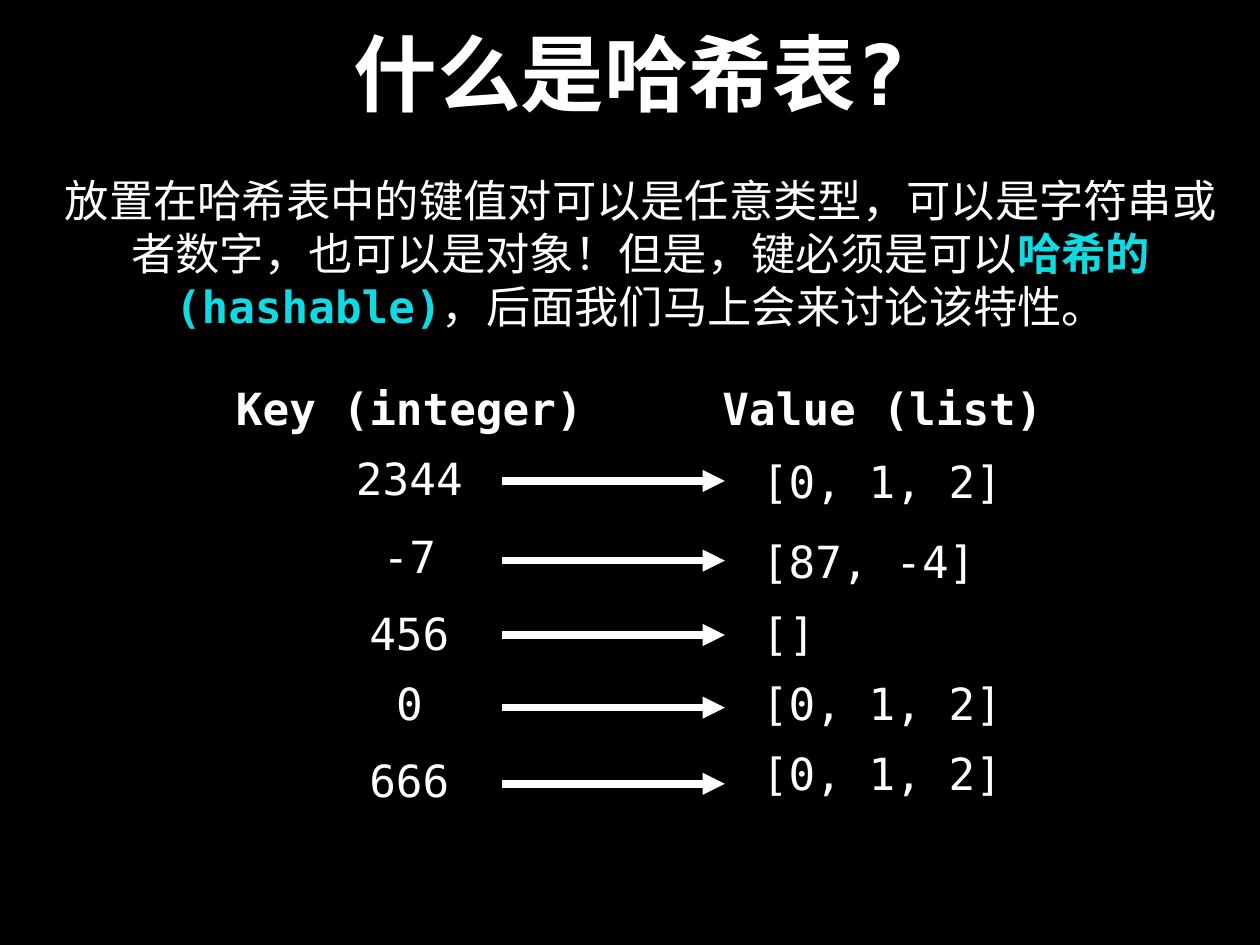
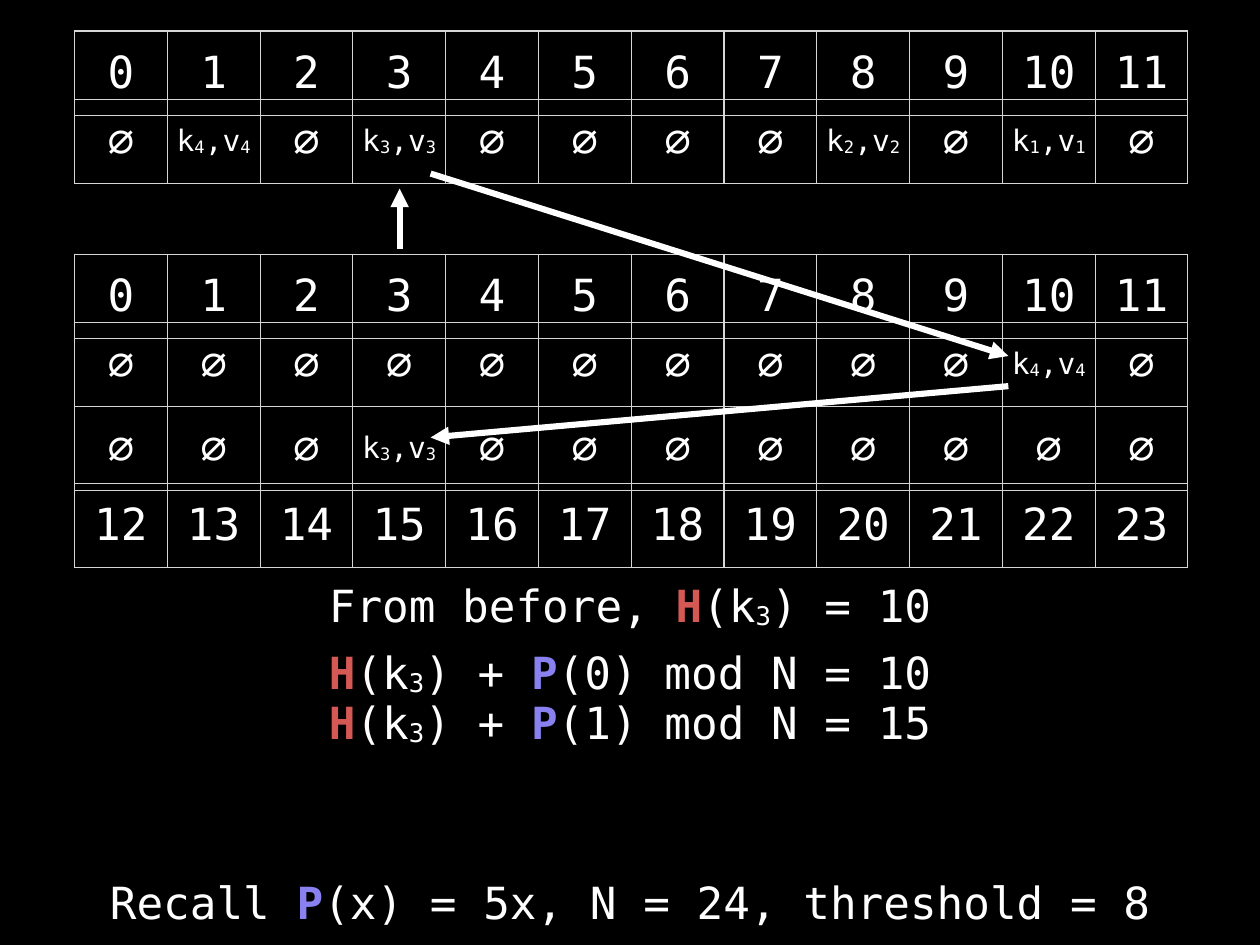
from lxml import etree
from pptx import Presentation
from pptx.dml.color import RGBColor
from pptx.enum.shapes import MSO_CONNECTOR
from pptx.enum.text import MSO_ANCHOR, PP_ALIGN
from pptx.oxml.ns import qn
from pptx.util import Inches, Pt

BLACK = RGBColor(0x00, 0x00, 0x00)
WHITE = RGBColor(0xFF, 0xFF, 0xFF)
CYAN = RGBColor(0x11, 0xDB, 0xE2)
RED = RGBColor(0xD4, 0x58, 0x54)
VIOLET = RGBColor(0x89, 0x81, 0xF0)
GRID = RGBColor(0xD6, 0xD6, 0xD6)
FONT = "DejaVu Sans Mono"
CENTER, LEFT = PP_ALIGN.CENTER, PP_ALIGN.LEFT
MIDDLE = MSO_ANCHOR.MIDDLE
STRAIGHT = MSO_CONNECTOR.STRAIGHT

WIDTH, HEIGHT = 14.22, 10.67
INSET = Inches(0.06)
LINE_HEIGHT = 0.68
BODY_SIZE, PAIR_SIZE, TITLE_SIZE = 36, 24, 68
SLOTS = 12
SLOT_WIDTH, SLOT_HEIGHT = 12.57 / SLOTS, 0.95
EMPTY = "∅"
SUB = "sub"
HASH, PROBE = ("H", RED), ("P", VIOLET)


def write(paragraph, parts, size=BODY_SIZE, bold=False, align=CENTER):
    """Parts are plain strings, (text, colour) for bold accents or (text, SUB)."""
    paragraph.alignment = align
    for part in [parts] if isinstance(parts, str) else parts:
        text, style = (part, None) if isinstance(part, str) else part
        run = paragraph.add_run()
        run.text = text
        accent = style not in (None, SUB)
        run.font.name = FONT
        run.font.size = Pt(size)
        run.font.bold = bold or accent
        run.font.color.rgb = style if accent else WHITE
        if style == SUB:
            run._r.get_or_add_rPr().set("baseline", "-6000")


def add_text(slide, box, parts, **style):
    frame = slide.shapes.add_textbox(*map(Inches, box)).text_frame
    frame.word_wrap = True
    frame.vertical_anchor = MIDDLE
    frame.margin_left = frame.margin_right = INSET
    frame.margin_top = frame.margin_bottom = INSET
    write(frame.paragraphs[0], parts, **style)


def add_arrow(slide, start, end, weight):
    arrow = slide.shapes.add_connector(STRAIGHT, *map(Inches, (*start, *end)))
    arrow.line.color.rgb = WHITE
    arrow.line.width = Pt(weight)
    etree.SubElement(arrow.line._get_or_add_ln(), qn("a:tailEnd"), type="triangle")
    etree.SubElement(arrow._element.spPr, qn("a:effectLst"))


def add_borders(cell):
    properties = cell._tc.get_or_add_tcPr()
    for side in ("lnL", "lnR", "lnT", "lnB"):
        border = etree.SubElement(properties, qn(f"a:{side}"), w=str(Pt(1)))
        fill = etree.SubElement(border, qn("a:solidFill"))
        etree.SubElement(fill, qn("a:srgbClr"), val=str(GRID))


def add_slot_row(slide, left, top, contents):
    """One row of slots; a (key, value) pair is set smaller than a single mark."""
    table = slide.shapes.add_table(
        1, SLOTS, Inches(left), Inches(top),
        Inches(SLOT_WIDTH * SLOTS), Inches(SLOT_HEIGHT)).table
    table.first_row = table.horz_banding = False
    for column, content in enumerate(contents):
        table.columns[column].width = Inches(SLOT_WIDTH)
        cell = table.cell(0, column)
        add_borders(cell)
        cell.fill.background()
        cell.vertical_anchor = MIDDLE
        cell.margin_left = cell.margin_right = INSET
        cell.margin_top = cell.margin_bottom = INSET
        size = BODY_SIZE if isinstance(content, str) else PAIR_SIZE
        write(cell.text_frame.paragraphs[0], content, size=size)


def indices(first):
    return [str(number) for number in range(first, first + SLOTS)]


def entries(pairs):
    """Slot contents from {slot: pair number}; the other slots are empty."""
    row = [EMPTY] * SLOTS
    for slot, number in pairs.items():
        row[slot] = ["k", (str(number), SUB), ",v", (str(number), SUB)]
    return row


def add_slide(deck):
    slide = deck.slides.add_slide(deck.slide_layouts[6])
    slide.background.fill.solid()
    slide.background.fill.fore_color.rgb = BLACK
    return slide


def add_mapping(slide, left, top):
    """Keys, arrows and values; each row gives the tops of key and value, and the arrow's height."""
    key_width, value_left, arrow_span = 4.04, 5.94, (3.06, 5.58)
    add_text(slide, (left, top, key_width, LINE_HEIGHT), "Key (integer)", bold=True)
    add_text(slide, (left + 5.49, top, 3.74, LINE_HEIGHT), "Value (list)", bold=True)
    rows = [
        ("2344", 0.80, "[0, 1, 2]", 0.83, 1.17),
        ("-7", 1.67, "[87, -4]", 1.73, 2.07),
        ("456", 2.54, "[]", 2.54, 2.91),
        ("0", 3.33, "[0, 1, 2]", 3.33, 3.73),
        ("666", 4.21, "[0, 1, 2]", 4.13, 4.59),
    ]
    for key, key_top, value, value_top, arrow_y in rows:
        add_text(slide, (left, top + key_top, key_width, LINE_HEIGHT), key)
        add_text(slide, (left + value_left, top + value_top, 2.83, LINE_HEIGHT),
                 value, align=LEFT)
        start, end = ((left + x, top + arrow_y) for x in arrow_span)
        add_arrow(slide, start, end, 6)


def add_definition_slide(deck):
    slide = add_slide(deck)
    add_text(slide, (1.04, 0.17, 12.14, 1.28), "什么是哈希表?", size=TITLE_SIZE, bold=True)
    add_text(slide, (0.44, 1.89, 13.58, 1.93), [
        "放置在哈希表中的键值对可以是任意类型，可以是字符串或者数字，也可以是对象！但是，键必须是可以",
        ("哈希的(hashable)", CYAN),
        "，后面我们马上会来讨论该特性。",
    ])
    add_mapping(slide, 2.6, 4.26)


def add_tables(slide, left, top):
    """The old table above the resized one, with the path that k3 takes."""
    rows = [
        (0, indices(0)),
        (0.77, entries({1: 4, 3: 3, 8: 2, 10: 1})),
        (2.52, indices(0)),
        (3.29, entries({10: 4})),
        (5.11, indices(12)),
        (4.24, entries({3: 3})),
    ]
    for offset, contents in rows:
        add_slot_row(slide, left, top + offset, contents)
    path = [
        ((3.67, 2.46), (3.67, 1.78)),
        ((4.02, 1.61), (10.54, 3.67)),
        ((10.54, 4.01), (4.02, 4.59)),
    ]
    for ends in path:
        start, end = ((left + x, top + y) for x, y in ends)
        add_arrow(slide, start, end, 5)


def add_probing_slide(deck):
    slide = add_slide(deck)
    add_tables(slide, 0.84, 0.35)
    hashed = [HASH, "(k", ("3", SUB)]
    formulas = [
        (6.49, ["From before, ", *hashed, ") = 10"]),
        (7.25, [*hashed, ") + ", PROBE, "(0) mod N = 10"]),
        (7.81, [*hashed, ") + ", PROBE, "(1) mod N = 15"]),
        (9.84, ["Recall ", PROBE, "(x) = 5x, N = 24, threshold = 8"]),
    ]
    for top, formula in formulas:
        add_text(slide, (0.5, top, WIDTH - 1, LINE_HEIGHT), formula)


def main():
    deck = Presentation()
    deck.slide_width, deck.slide_height = Inches(WIDTH), Inches(HEIGHT)
    add_definition_slide(deck)
    add_probing_slide(deck)
    deck.save("out.pptx")


if __name__ == "__main__":
    main()
